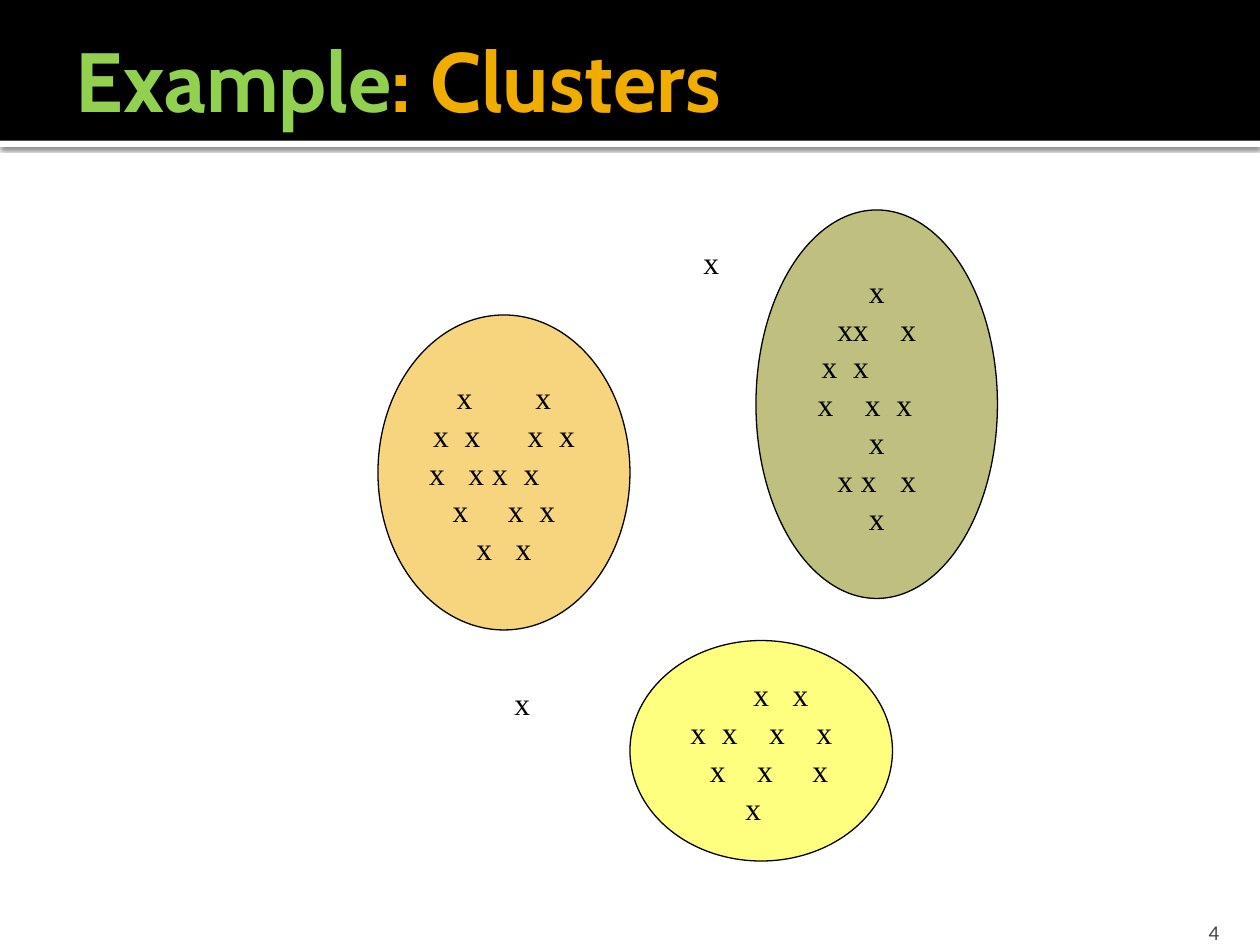
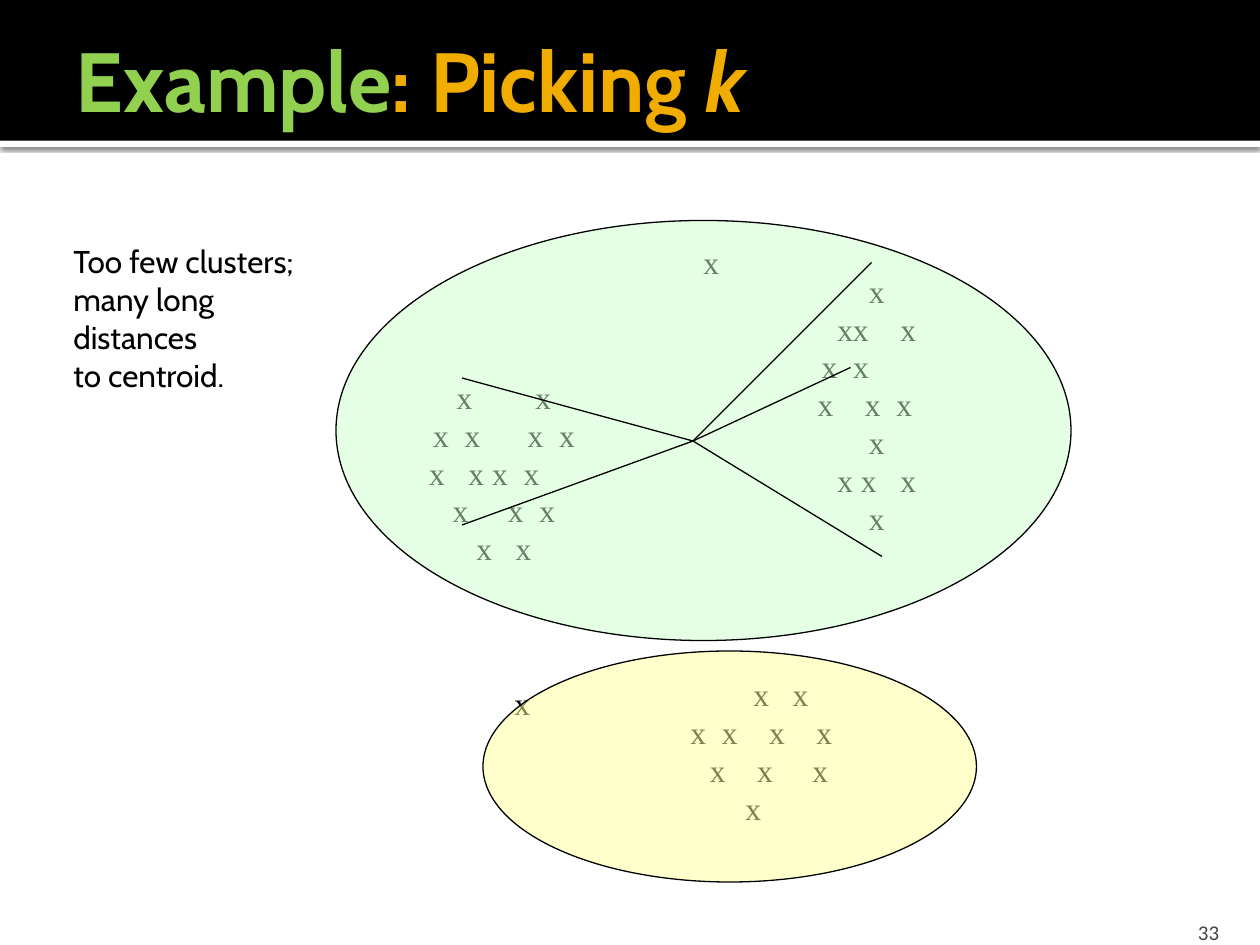
from lxml import etree
from pptx import Presentation
from pptx import util as u
from pptx.dml.color import RGBColor
from pptx.enum import shapes, text
from pptx.oxml.ns import qn

PX = 7620
HALF_SPACE = 28575
X_WIDTH = 4
ELLIPSE_TEXT_CENTRE = 0.5 ** 0.5 / 2
JOINTS = {X_WIDTH: "", X_WIDTH + 2: " "}

BLACK, WHITE, GREY = "000000", "FFFFFF", "454545"
GREEN, AMBER = "92D050", "F0AD00"

CLUSTERS = [
    ((360, 300, 240, 300), AMBER,
     [(-12, 8), (-18, -10, 6, 14), (-19, -9, -3, 5), (-13, 1, 9), (-7, 3)]),
    ((720, 200, 230, 370), "808000",
     [(-2,), (-10, -6, 6), (-14, -6), (-15, -3, 5), (-2,), (-10, -4, 6), (-2,)]),
    ((600, 610, 250, 210), "FFFF00",
     [(-2, 8), (-18, -10, 2, 14), (-13, -1, 13), (-4,)]),
]
OUTLIERS = [(658, 226), (478, 646)]
CENTROID = (660, 420)
FAR_POINTS = [(440, 360), (440, 500), (840, 530), (810, 350), (830, 250)]


def px(n):
    return u.Emu(round(n * PX))


def color(value):
    return RGBColor.from_string(value)


def write(p, content, font="Times New Roman", size=18, fg=BLACK,
          bold=False, italic=False, align=None):
    if align is not None:
        p.alignment = align
    r = p.add_run()
    r.text = content
    f = r.font
    f.name, f.size, f.bold, f.italic = font, u.Pt(size), bold, italic
    f.color.rgb = color(fg)


def paragraphs(tf, count):
    return [tf.paragraphs[0]] + [tf.add_paragraph() for _ in range(count - 1)]


def set_tabs(p, stops):
    tabs = etree.SubElement(p._p.get_or_add_pPr(), qn("a:tabLst"))
    for stop in stops:
        etree.SubElement(tabs, qn("a:tab"), pos=str(round(stop)), algn="l")


class Deck:
    def __init__(self):
        self.prs = Presentation()
        self.prs.slide_width, self.prs.slide_height = px(1200), px(900)
        self.s = None

    def slide(self, title, number):
        self.s = self.prs.slides.add_slide(self.prs.slide_layouts[6])
        rule = self.shape((0, 134, 1200, 6), WHITE)
        self.drop_shadow(rule)
        self.shape((0, 0, 1200, 134), BLACK)
        tf = self.box((1077, 864, 96, 36), (12, 6, 12, 0), text.MSO_ANCHOR.BOTTOM)
        write(tf.paragraphs[0], number, "Calibri", 12, GREY, align=text.PP_ALIGN.RIGHT)
        tf = self.box((60, 20, 1140, 110), (12, 6, 6, 6), text.MSO_ANCHOR.MIDDLE)
        for content, fg, italic in title:
            write(tf.paragraphs[0], content, "Cabin", 48, fg, True, italic)

    def shape(self, at, fill=None, alpha=None, line=None,
              kind=shapes.MSO_SHAPE.RECTANGLE):
        sp = self.s.shapes.add_shape(kind, *map(px, at))
        sp.shadow.inherit = False
        if fill:
            sp.fill.solid()
            sp.fill.fore_color.rgb = color(fill)
            if alpha:
                clr = sp.fill._xPr.find(".//" + qn("a:srgbClr"))
                etree.SubElement(clr, qn("a:alpha"), val=str(alpha * 1000))
        else:
            sp.fill.background()
        if line:
            sp.line.color.rgb = color(line)
            sp.line.width = u.Pt(0.75)
        else:
            sp.line.fill.background()
        return sp

    def drop_shadow(self, sp):
        effects = sp._element.spPr.find(qn("a:effectLst"))
        shadow = etree.SubElement(effects, qn("a:outerShdw"), blurRad="31750",
                                  dist="10160", dir="5400000", rotWithShape="0")
        clr = etree.SubElement(shadow, qn("a:srgbClr"), val=BLACK)
        etree.SubElement(clr, qn("a:alpha"), val="60000")

    def ellipse(self, at, fill=None):
        return self.shape(at, fill, 50, BLACK if fill else None,
                          shapes.MSO_SHAPE.OVAL)

    def box(self, at, insets=(12, 6, 12, 6), anchor=text.MSO_ANCHOR.TOP, wrap=True):
        tf = self.s.shapes.add_textbox(*map(px, at)).text_frame
        tf.margin_left, tf.margin_top, tf.margin_right, tf.margin_bottom = map(px, insets)
        tf.vertical_anchor, tf.word_wrap = anchor, wrap
        return tf

    def cluster(self, at, fill, rows):
        tf = self.ellipse(at, fill).text_frame
        tf.margin_left = tf.margin_top = tf.margin_right = tf.margin_bottom = 0
        tf.vertical_anchor, tf.word_wrap = text.MSO_ANCHOR.MIDDLE, True
        centre = px(at[2]) * ELLIPSE_TEXT_CENTRE
        for p, row in zip(paragraphs(tf, len(rows)), rows):
            gaps = [None] + [b - a for a, b in zip(row, row[1:])]
            set_tabs(p, [centre + c * HALF_SPACE
                         for c, gap in zip(row, gaps) if gap not in JOINTS])
            write(p, "".join(JOINTS.get(gap, "\t") + "x" for gap in gaps),
                  align=text.PP_ALIGN.LEFT)

    def note(self, at, lines, font="Times New Roman"):
        tf = self.box(at, wrap=False)
        tf.auto_size = text.MSO_AUTO_SIZE.SHAPE_TO_FIT_TEXT
        for p, content in zip(paragraphs(tf, len(lines)), lines):
            write(p, content, font)

    def points(self, filled):
        for at, fill, rows in CLUSTERS:
            self.cluster(at, fill if filled else None, rows)
        for x, y in OUTLIERS:
            self.note((x, y, 44, 60), ["x"])

    def line(self, start, end):
        cn = self.s.shapes.add_connector(shapes.MSO_CONNECTOR.STRAIGHT,
                                         *map(px, start + end))
        cn.line.color.rgb = color(BLACK)
        cn.line.width = u.Pt(0.75)
        etree.SubElement(cn._element.spPr, qn("a:effectLst"))


def main():
    deck = Deck()

    deck.slide([("Example", GREEN, False), (": Clusters", AMBER, False)], "4")
    deck.points(filled=True)

    deck.slide([("Example", GREEN, False), (": Picking ", AMBER, False),
                ("k", AMBER, True)], "33")
    deck.points(filled=False)
    deck.ellipse((320, 210, 700, 400), "CCFFCC")
    deck.ellipse((460, 620, 470, 220), "FFFF99")
    for point in FAR_POINTS:
        deck.line(CENTROID, point)
    deck.note((58, 225, 234, 157),
              ["Too few clusters;", "many long", "distances", "to centroid."], "Cabin")

    deck.prs.save("out.pptx")


if __name__ == "__main__":
    main()
